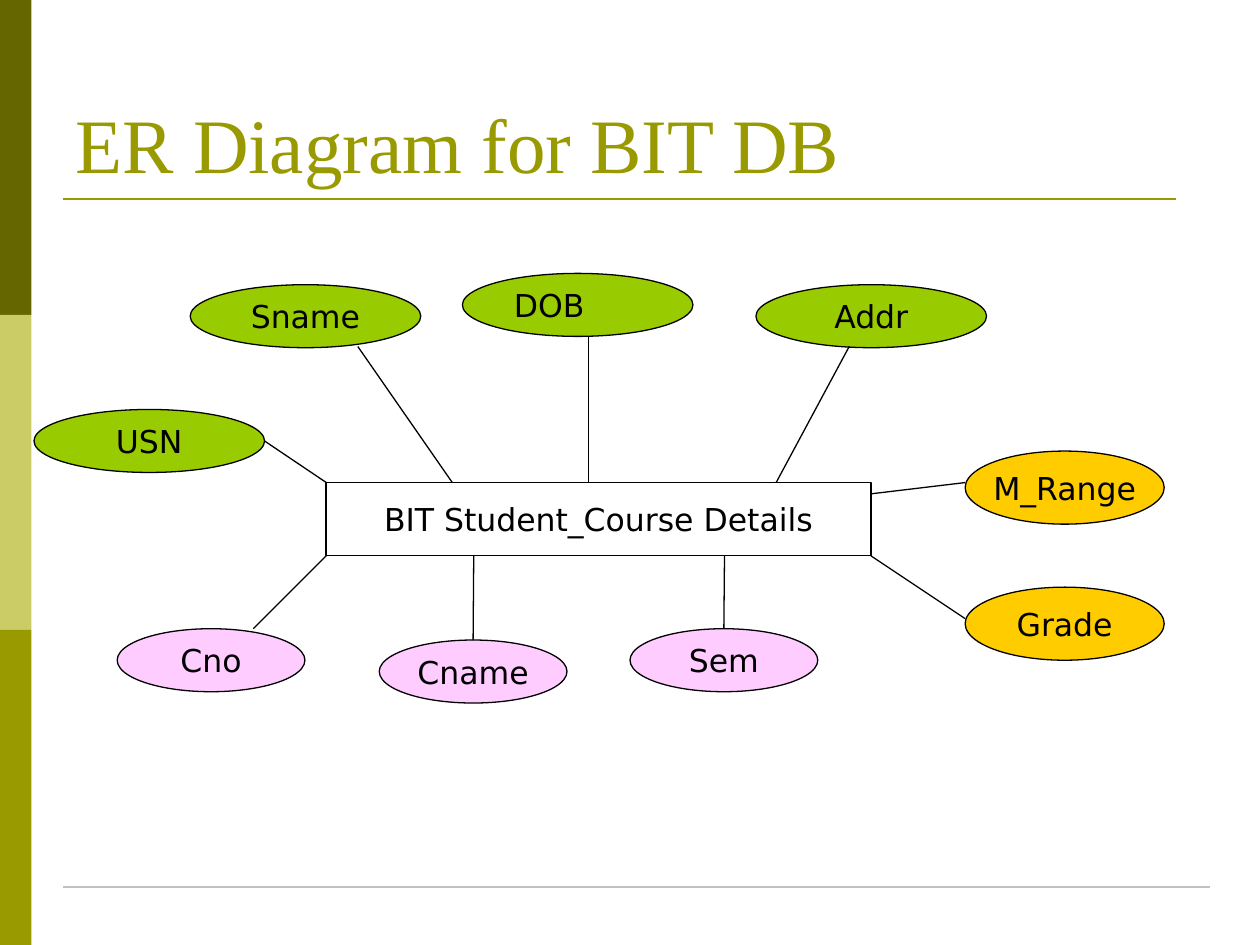
"""Build the ER diagram slide for the BIT student and course database."""
from dataclasses import dataclass

from pptx import Presentation
from pptx.dml.color import RGBColor
from pptx.enum import shapes, text
from pptx.util import Inches, Pt


@dataclass(frozen=True)
class Theme:
    dark: str = "666600"
    light: str = "CCCC66"
    olive: str = "999900"
    rule: str = "C0C0C0"
    ink: str = "000000"
    paper: str = "FFFFFF"
    student: str = "99CC00"
    course: str = "FFCCFF"
    result: str = "FFCC00"
    title_font: str = "Times New Roman"
    body_font: str = "DejaVu Sans"
    title_size: int = 44
    body_size: int = 18


theme = Theme()


def write(shape, words, *, font=theme.body_font, size=theme.body_size,
          color=theme.ink, align=text.PP_ALIGN.CENTER,
          anchor=text.MSO_ANCHOR.MIDDLE, wrap=False, right=0.1):
    frame = shape.text_frame
    frame.auto_size = text.MSO_AUTO_SIZE.NONE
    frame.word_wrap = wrap
    frame.vertical_anchor = anchor
    frame.margin_left, frame.margin_right = Inches(0.1), Inches(right)
    frame.margin_top = frame.margin_bottom = Inches(0.05)
    para = frame.paragraphs[0]
    para.alignment = align
    span = para.add_run()
    span.text = words
    span.font.name, span.font.size = font, Pt(size)
    span.font.color.rgb = RGBColor.from_string(color)


def draw(kind, box, *, fill=None, line=None, width=0.75):
    lengths = [Inches(value) for value in box]
    if kind == "line":
        shape = page.shapes.add_connector(shapes.MSO_CONNECTOR.STRAIGHT, *lengths)
        shape._element.spPr.get_or_add_effectLst() if hasattr(
            shape._element.spPr, "get_or_add_effectLst") else None
    else:
        shape = page.shapes.add_shape(kind, *lengths)
        shape.shadow.inherit = False
        shape.fill.solid()
        shape.fill.fore_color.rgb = RGBColor.from_string(fill)
    if line:
        shape.line.color.rgb = RGBColor.from_string(line)
        shape.line.width = Pt(width)
    else:
        shape.line.fill.background()
    return shape


deck = Presentation()
deck.slide_width, deck.slide_height = Inches(10), Inches(7.5)
page = deck.slides.add_slide(deck.slide_layouts[5])
rectangle, ellipse = shapes.MSO_SHAPE.RECTANGLE, shapes.MSO_SHAPE.OVAL

for row, color in enumerate((theme.dark, theme.light, theme.olive)):
    draw(rectangle, (0, 2.5 * row, 0.25, 2.5), fill=color)
draw("line", (0.5, 1.58, 9.33, 1.58), line=theme.olive, width=1.5)
draw("line", (0.5, 7.04, 9.6, 7.04), line=theme.rule)

title = page.shapes.title
title.left, title.top = Inches(0.5), Inches(0.3)
title.width, title.height = Inches(9), Inches(1.25)
write(title, "ER Diagram for BIT DB", font=theme.title_font,
      size=theme.title_size, color=theme.olive, align=text.PP_ALIGN.LEFT,
      anchor=text.MSO_ANCHOR.BOTTOM, wrap=True)

entity = draw(rectangle, (2.59, 3.83, 4.32, 0.58),
              fill=theme.paper, line=theme.ink, width=1)
write(entity, "BIT Student_Course Details")

sizes = {theme.student: (1.83, 0.5), theme.course: (1.49, 0.5),
         theme.result: (1.58, 0.58)}
attributes = [
    ("Sname", theme.student, (1.51, 2.26), (2.84, 2.75, 3.59, 3.83)),
    ("USN", theme.student, (0.27, 3.25), (2.1, 3.5, 2.59, 3.83)),
    ("Addr", theme.student, (6, 2.26), (6.74, 2.75, 6.16, 3.83)),
    ("DOB", theme.student, (3.67, 2.17), (4.67, 2.67, 4.67, 3.83)),
    ("Cno", theme.course, (0.93, 4.99), (2.01, 4.99, 2.59, 4.41)),
    ("Sem", theme.course, (5, 4.99), (5.75, 4.99, 5.75, 4.41)),
    ("Cname", theme.course, (3.01, 5.08), (3.76, 5.08, 3.76, 4.41)),
    ("M_Range", theme.result, (7.66, 3.58), (7.66, 3.83, 6.91, 3.92)),
    ("Grade", theme.result, (7.66, 4.66), (7.66, 4.91, 6.91, 4.41)),
]
for name, color, corner, link in attributes:
    attribute = draw(ellipse, corner + sizes[color], fill=color, line=theme.ink)
    write(attribute, name, right=0.55 if name == "DOB" else 0.1)
    connector = draw("line", link, line=theme.ink)
    if name in ("Sem", "Cname"):
        connector.begin_connect(attribute, 0)

deck.save("out.pptx")
